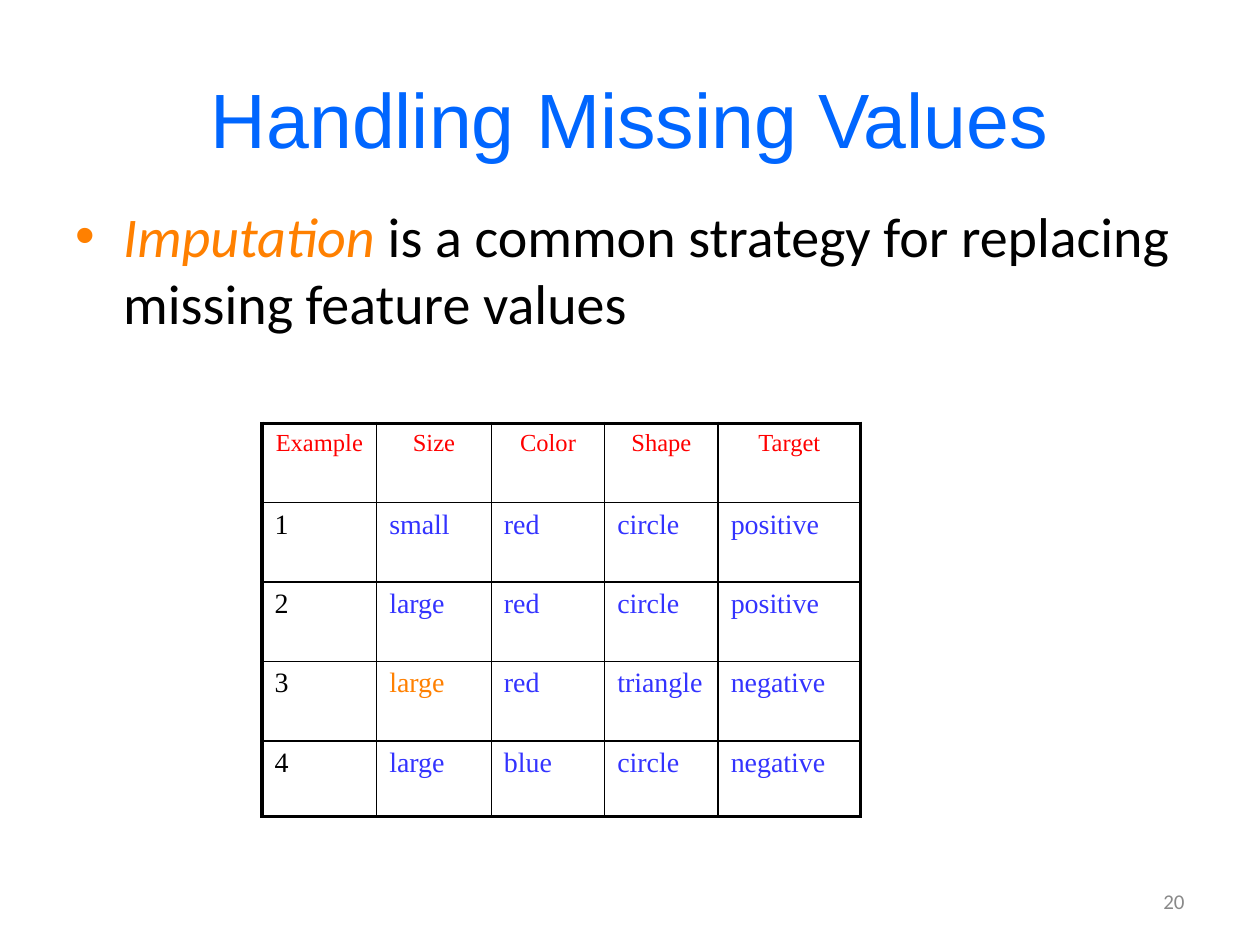
from lxml.etree import SubElement
from pptx import Presentation
from pptx.dml.color import RGBColor
from pptx.enum.text import MSO_ANCHOR, PP_ALIGN
from pptx.oxml.ns import qn
from pptx.util import Inches, Pt

COLORS = {
    "title": "0066FF", "accent": "FF8000", "text": "000000", "number": "898989",
    "header": "FF0000", "value": "3333FF", "border": "000000",
}
HEADER = ["Example", "Size", "Color", "Shape", "Target"]
EXAMPLES = [
    ["1", "small", "red", "circle", "positive"],
    ["2", "large", "red", "circle", "positive"],
    ["3", "large", "red", "triangle", "negative"],
    ["4", "large", "blue", "circle", "negative"],
]
IMPUTED = (3, 1)  # row and column of the filled-in value


class SlideBuilder:
    """Holds the style and the current slide; boxes are shares of the slide."""

    def __init__(self, presentation):
        self.width, self.height = presentation.slide_width, presentation.slide_height
        self.slide = presentation.slides.add_slide(presentation.slide_layouts[6])

    def place(self, left, top, width, height):
        return (round(left * self.width), round(top * self.height),
                round(width * self.width), round(height * self.height))

    def run(self, paragraph, text, font, size, color, italic=False):
        run = paragraph.add_run()
        run.text = text
        run.font.name, run.font.size, run.font.italic = font, Pt(size), italic
        run.font.color.rgb = RGBColor.from_string(COLORS[color])

    def text(self, box, runs, align=PP_ALIGN.LEFT, anchor=MSO_ANCHOR.MIDDLE, bullet=False):
        frame = self.slide.shapes.add_textbox(*self.place(*box)).text_frame
        frame.word_wrap, frame.vertical_anchor = True, anchor
        paragraph = frame.paragraphs[0]
        paragraph.alignment = align
        if bullet:
            properties = paragraph._p.get_or_add_pPr()
            properties.set("marL", str(Inches(0.38)))
            properties.set("indent", str(Inches(-0.38)))
            SubElement(properties, qn("a:buFont"), typeface="Arial")
            SubElement(properties, qn("a:buChar"), char="•")
        for run in runs:
            self.run(paragraph, *run)

    def border(self, cell, side, width):
        line = SubElement(cell._tc.get_or_add_tcPr(), qn(f"a:ln{side}"), w=str(Pt(width)))
        fill = SubElement(line, qn("a:solidFill"))
        SubElement(fill, qn("a:srgbClr"), val=COLORS["border"])

    def table(self, box, rows, column_shares, row_shares, style):
        shape = self.slide.shapes.add_table(len(rows), len(rows[0]), *self.place(*box))
        table = shape.table
        table.first_row = table.horz_banding = False
        for column, share in zip(table.columns, column_shares):
            column.width = round(share * self.width)
        for row, share in zip(table.rows, row_shares):
            row.height = round(share * self.height)
        last_row, last_column = len(rows) - 1, len(rows[0]) - 1
        for i, row in enumerate(rows):
            for j, value in enumerate(row):
                cell = table.cell(i, j)
                # Thick outer frame, thin inner lines
                outer = {"L": j == 0, "R": j == last_column, "T": i == 0, "B": i == last_row}
                for side, is_outer in outer.items():
                    self.border(cell, side, 2.25 if is_outer else 1)
                cell.fill.background()
                paragraph = cell.text_frame.paragraphs[0]
                paragraph.alignment = PP_ALIGN.CENTER if i == 0 else PP_ALIGN.LEFT
                self.run(paragraph, value, "Times New Roman", *style(i, j))


def example_style(row, column):
    """Size and colour of the text in a table cell."""
    if row == 0:
        return 14, "header"
    if column == 0:
        return 16, "text"
    return 16, "accent" if (row, column) == IMPUTED else "value"


def main():
    presentation = Presentation()
    presentation.slide_width, presentation.slide_height = Inches(10), Inches(7.5)
    builder = SlideBuilder(presentation)

    # Title
    builder.text((0.05, 0.04, 0.9, 0.17),
                 [("Handling Missing Values", "Arial", 44, "title")], PP_ALIGN.CENTER)

    # Statement
    builder.text((0.05, 0.207, 0.9, 0.79), [
        ("Imputation", "Calibri", 32, "accent", True),
        (" is a common strategy for replacing missing feature values", "Calibri", 32, "text"),
    ], anchor=MSO_ANCHOR.TOP, bullet=True)

    # Examples with the imputed value
    builder.table((0.208, 0.448, 0.475, 0.418), [HEADER] + EXAMPLES,
                  [0.091, 0.091, 0.09, 0.09, 0.113], [0.084] * 4 + [0.08], example_style)

    # Slide number
    builder.text((0.717, 0.927, 0.233, 0.053),
                 [("20", "Calibri", 12, "number")], PP_ALIGN.RIGHT)

    presentation.save("out.pptx")


if __name__ == "__main__":
    main()
